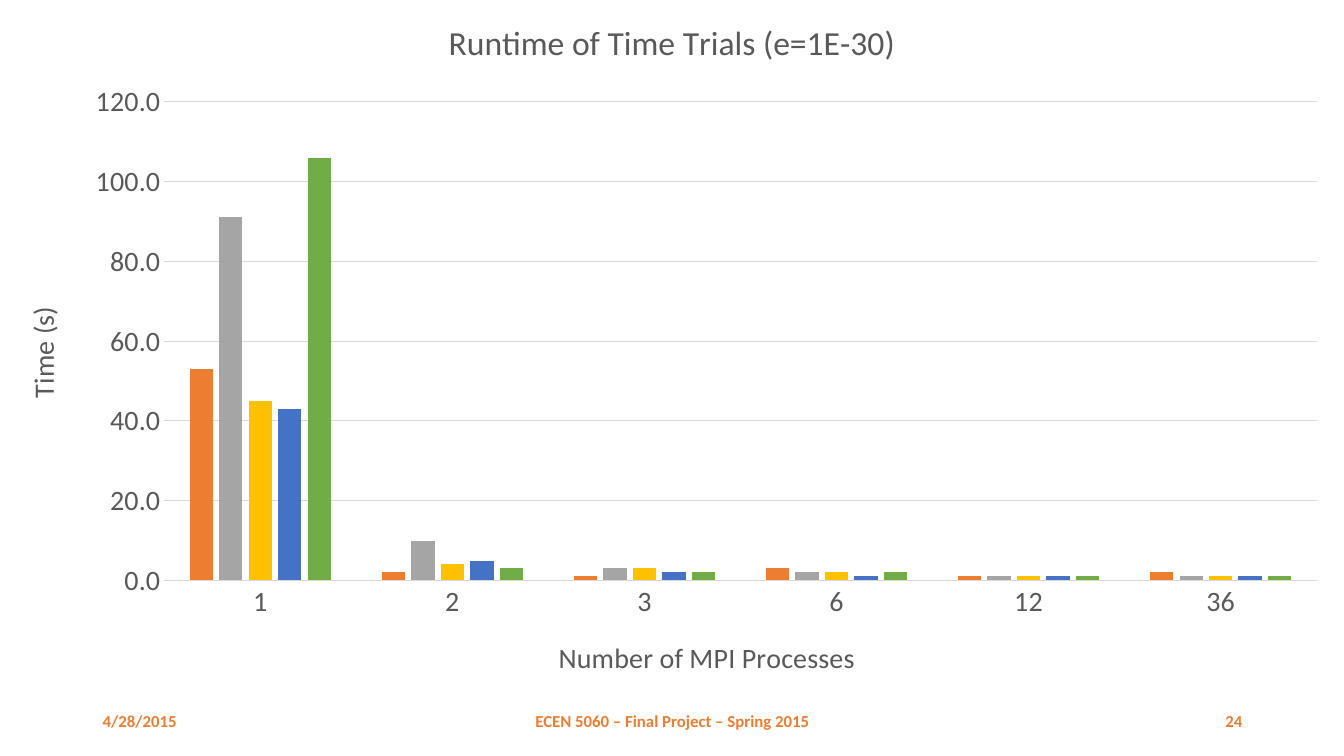
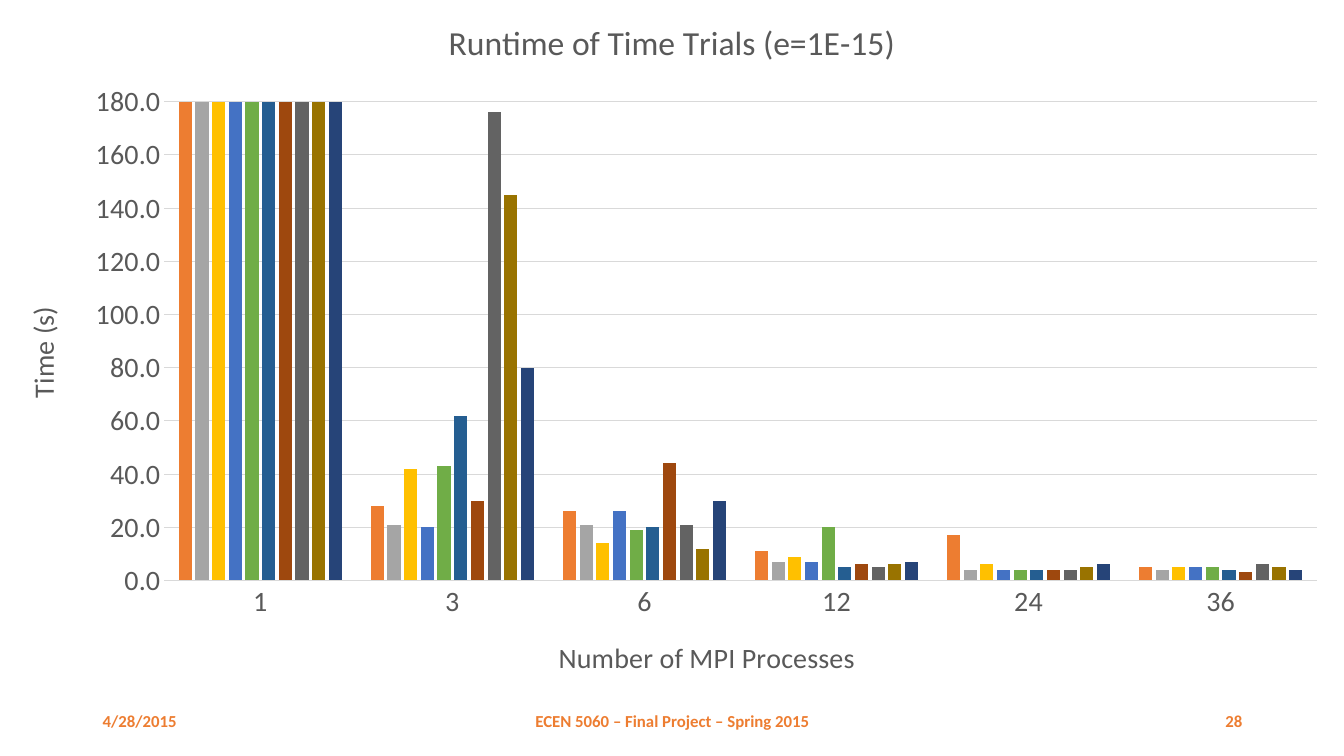
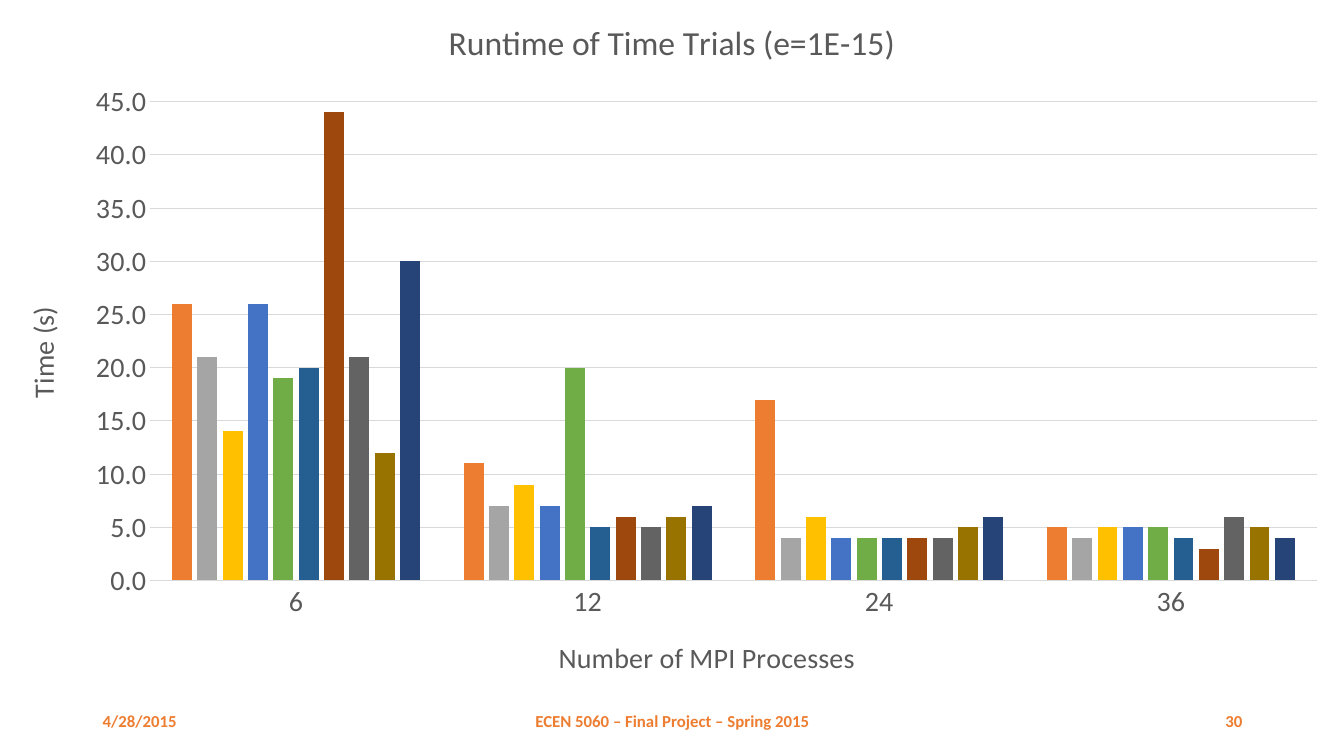
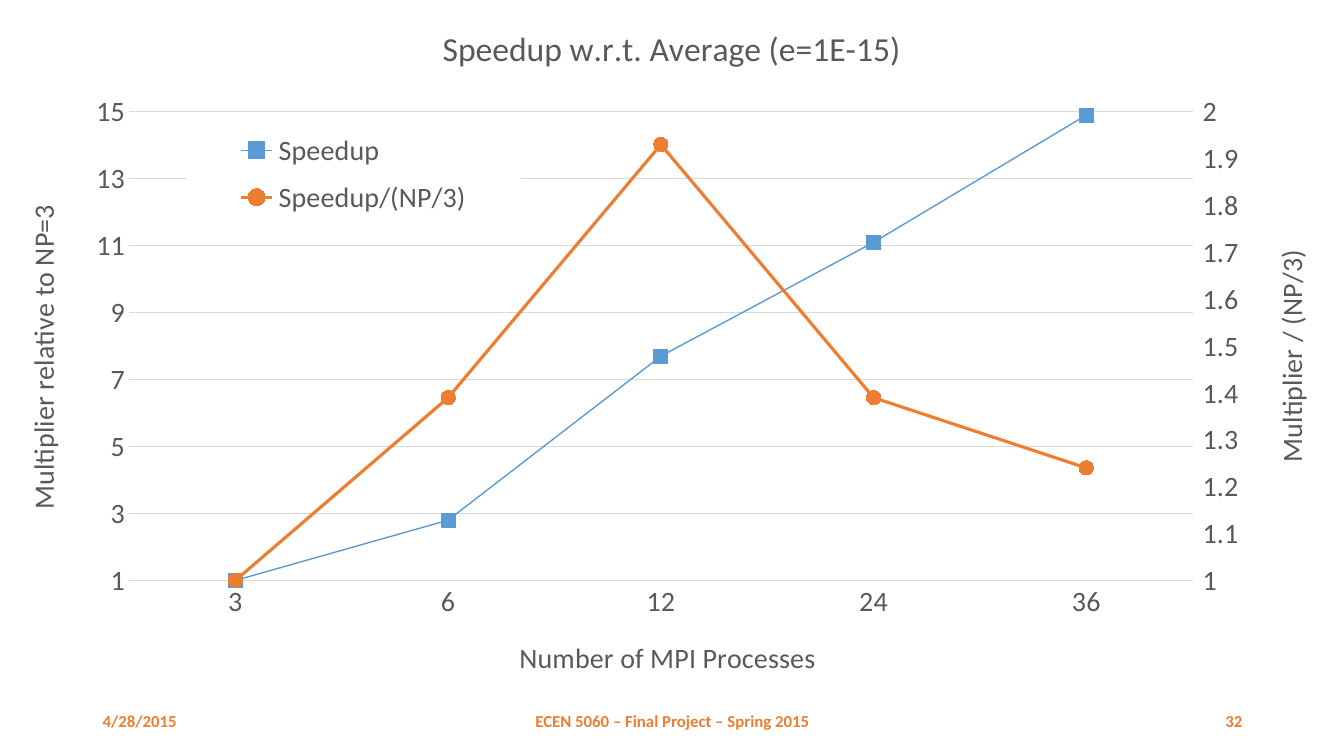
from copy import deepcopy
from dataclasses import dataclass

from pptx import Presentation
from pptx.chart.axis import CategoryAxis, ValueAxis
from pptx.chart.chart import Chart
from pptx.chart.data import CategoryChartData
from pptx.dml.color import RGBColor
from pptx.enum.chart import XL_CHART_TYPE, XL_LEGEND_POSITION, XL_MARKER_STYLE, XL_TICK_MARK
from pptx.enum.text import MSO_ANCHOR, PP_ALIGN
from pptx.oxml import parse_xml
from pptx.oxml.ns import nsdecls, qn
from pptx.oxml.xmlchemy import BaseOxmlElement
from pptx.slide import Slide
from pptx.text.text import Font
from pptx.util import Inches, Pt

COLUMNS = XL_CHART_TYPE.COLUMN_CLUSTERED
LINES = XL_CHART_TYPE.LINE_MARKERS
LEGEND_RIGHT = XL_LEGEND_POSITION.RIGHT
SQUARE = XL_MARKER_STYLE.SQUARE
CIRCLE = XL_MARKER_STYLE.CIRCLE
TICK_NONE = XL_TICK_MARK.NONE
TICK_OUT = XL_TICK_MARK.OUTSIDE
MIDDLE = MSO_ANCHOR.MIDDLE
LEFT = PP_ALIGN.LEFT
CENTER = PP_ALIGN.CENTER
RIGHT = PP_ALIGN.RIGHT

FONT = "Calibri"
ORANGE = "ED7D31"
BLUE = "5B9BD5"
GREY = "595959"
RULE = "D9D9D9"
TRIAL_COLORS = [ORANGE, "A5A5A5", "FFC000", "4472C4", "70AD47",
                "255E91", "9E480E", "636363", "997300", "264478"]
SLIDE_W, SLIDE_H = 13.33, 7.5
CHART_H = 6.95
FOOTER_H = 0.4


@dataclass(frozen=True)
class Footer:
    text: str
    left: float
    width: float
    align: PP_ALIGN


@dataclass(frozen=True)
class Label:
    text: str
    left: float
    top: float


@dataclass(frozen=True)
class Plot:
    left: float
    top: float
    right: float
    bottom: float = 5.76


@dataclass(frozen=True)
class Scale:
    low: float
    high: float
    step: float
    number_format: str


@dataclass(frozen=True)
class ChartPage:
    number: int
    title: Label
    x_title: Label
    y_title: Label
    plot: Plot
    scale: Scale
    categories: list[str]
    series: dict[str, list[float]]


@dataclass(frozen=True)
class SpeedupLine:
    color: str
    width: float
    marker: XL_MARKER_STYLE


def trials(rows: list[list[float]]) -> dict[str, list[float]]:
    return {f"Series {i}": list(run) for i, run in enumerate(zip(*rows), 1)}


FINE_RUNTIMES = [
    [53, 91, 45, 43, 106],
    [2, 10, 4, 5, 3],
    [1, 3, 3, 2, 2],
    [3, 2, 2, 1, 2],
    [1, 1, 1, 1, 1],
    [2, 1, 1, 1, 1],
]
COARSE_PROCESSES = ["1", "3", "6", "12", "24", "36"]
COARSE_RUNTIMES = [
    [180] * 10,
    [28, 21, 42, 20, 43, 62, 30, 176, 145, 80],
    [26, 21, 14, 26, 19, 20, 44, 21, 12, 30],
    [11, 7, 9, 7, 20, 5, 6, 5, 6, 7],
    [17, 4, 6, 4, 4, 4, 4, 4, 5, 6],
    [5, 4, 5, 5, 5, 4, 3, 6, 5, 4],
]

FINE_TITLE = Label("Runtime of Time Trials (e=1E-30)", 4.39, 0.14)
COARSE_TITLE = Label("Runtime of Time Trials (e=1E-15)", 4.39, 0.14)
PROCESSES = Label("Number of MPI Processes", 5.49, 6.28)
TIME = Label("Time (s)", 0.18, 2.99)
WIDE_PLOT = Plot(1.63, 1.01, 13.06)

RUNTIME_PAGES = [
    ChartPage(24, FINE_TITLE, PROCESSES, TIME, WIDE_PLOT, Scale(0, 120, 20, "0.0"),
              ["1", "2", "3", "6", "12", "36"], trials(FINE_RUNTIMES)),
    ChartPage(28, COARSE_TITLE, PROCESSES, TIME, WIDE_PLOT, Scale(0, 180, 20, "0.0"),
              COARSE_PROCESSES, trials(COARSE_RUNTIMES)),
    ChartPage(30, COARSE_TITLE, PROCESSES, TIME, Plot(1.49, 1.01, 13.06), Scale(0, 45, 5, "0.0"),
              COARSE_PROCESSES[2:], trials(COARSE_RUNTIMES[2:])),
]
SPEEDUP_PAGE = ChartPage(
    32, Label("Speedup w.r.t. Average (e=1E-15)", 4.33, 0.2),
    Label("Number of MPI Processes", 5.1, 6.28),
    Label("Multiplier relative to NP=3", 0.18, 1.98),
    Plot(1.28, 1.11, 11.83), Scale(1, 15, 2, "0"), COARSE_PROCESSES[1:],
    {"Speedup": [1, 2.8, 7.7, 11.1, 14.9],
     "Speedup/(NP/3)": [1, 1.39, 1.93, 1.39, 1.24]},
)
EFFICIENCY_TITLE = Label("Multiplier / (NP/3)", 12.56, 2.43)
EFFICIENCY_SCALE = Scale(1, 2, 0.1, "General")
SPEEDUP_LINES = [SpeedupLine(BLUE, 1, SQUARE), SpeedupLine(ORANGE, 2.25, CIRCLE)]


def rgb(color: str) -> RGBColor:
    return RGBColor.from_string(color)


def style_font(font: Font, size: float, color: str, bold: bool = False) -> None:
    font.name = FONT
    font.size = Pt(size)
    font.bold = bold
    font.color.rgb = rgb(color)


def add_footers(slide: Slide, number: int) -> None:
    footers = [
        Footer("4/28/2015", 0.92, 3, LEFT),
        Footer("ECEN 5060 – Final Project – Spring 2015", 4.42, 4.5, CENTER),
        Footer(str(number), 9.42, 3, RIGHT),
    ]
    for footer in footers:
        box = slide.shapes.add_textbox(Inches(footer.left), Inches(CHART_H),
                                       Inches(footer.width), Inches(FOOTER_H))
        frame = box.text_frame
        frame.word_wrap = True
        frame.vertical_anchor = MIDDLE
        paragraph = frame.paragraphs[0]
        paragraph.alignment = footer.align
        run = paragraph.add_run()
        run.text = footer.text
        style_font(run.font, 12, ORANGE, True)


def place(part: BaseOxmlElement, left: float, top: float,
          size: tuple[float, float] | None = None, inner: bool = False) -> None:
    fields = [("xMode", "edge"), ("yMode", "edge"),
              ("x", left / SLIDE_W), ("y", top / CHART_H)]
    if inner:
        fields.insert(0, ("layoutTarget", "inner"))
    if size:
        fields += [("w", size[0] / SLIDE_W), ("h", size[1] / CHART_H)]
    settings = "".join(f'<c:{tag} val="{value}"/>' for tag, value in fields)
    for previous in part.findall(qn("c:layout")):
        part.remove(previous)
    leading = part.xpath("./c:tx | ./c:legendPos")
    part.insert(len(leading), parse_xml(
        f'<c:layout {nsdecls("c")}><c:manualLayout>{settings}</c:manualLayout></c:layout>'))


def write_title(title, label: Label, size: float, upright: bool = False) -> None:
    paragraph = title.text_frame.paragraphs[0]
    run = paragraph.runs[0] if paragraph.runs else paragraph.add_run()
    run.text = label.text
    style_font(run.font, size, GREY)
    if upright:
        body = title.element.xpath(".//a:bodyPr")[0]
        body.set("rot", "-5400000")
        body.set("vert", "horz")
    place(title.element, label.left, label.top)


def style_value_axis(axis: ValueAxis, label: Label, scale: Scale) -> None:
    axis.minimum_scale = scale.low
    axis.maximum_scale = scale.high
    axis.major_unit = scale.step
    axis.major_tick_mark = TICK_NONE
    axis.format.line.fill.background()
    axis.tick_labels.number_format = scale.number_format
    axis.tick_labels.number_format_is_linked = False
    style_font(axis.tick_labels.font, 20, GREY)
    write_title(axis.axis_title, label, 20, True)


def add_chart_page(deck, page: ChartPage, kind: XL_CHART_TYPE) -> Chart:
    slide = deck.slides.add_slide(deck.slide_layouts[6])
    add_footers(slide, page.number)
    data = CategoryChartData()
    data.categories = page.categories
    for name, values in page.series.items():
        data.add_series(name, values)
    chart = slide.shapes.add_chart(kind, 0, 0, Inches(SLIDE_W), Inches(CHART_H), data).chart
    chart.font.name = FONT
    chart.font.size = Pt(20)
    chart.has_legend = False
    chart.has_title = True
    write_title(chart.chart_title, page.title, 24)

    processes = chart.category_axis
    processes.major_tick_mark = TICK_NONE
    processes.format.line.color.rgb = rgb(RULE)
    processes.format.line.width = Pt(0.75)
    style_font(processes.tick_labels.font, 20, GREY)
    write_title(processes.axis_title, page.x_title, 20)

    values_axis = chart.value_axis
    style_value_axis(values_axis, page.y_title, page.scale)
    values_axis.has_major_gridlines = True
    grid = values_axis.major_gridlines.format.line
    grid.color.rgb = rgb(RULE)
    grid.width = Pt(0.75)

    plot = page.plot
    place(chart.element.xpath("//c:plotArea")[0], plot.left, plot.top,
          (plot.right - plot.left, plot.bottom - plot.top), True)
    return chart


def add_runtime_page(deck, page: ChartPage) -> None:
    columns = add_chart_page(deck, page, COLUMNS).plots[0]
    columns.gap_width = 219
    columns.overlap = -27
    columns.vary_by_categories = False
    for trial, color in zip(columns.series, TRIAL_COLORS):
        trial.format.fill.solid()
        trial.format.fill.fore_color.rgb = rgb(color)


def move_to_right_axis(chart: Chart) -> None:
    left_lines = chart.element.xpath("//c:lineChart")[0]
    left_category = chart.element.xpath("//c:catAx")[0]
    left_value = chart.element.xpath("//c:valAx")[0]
    right_lines, right_category, right_value = map(
        deepcopy, (left_lines, left_category, left_value))
    left_lines.remove(left_lines.findall(qn("c:ser"))[1])
    right_lines.remove(right_lines.findall(qn("c:ser"))[0])

    ids = {left_category.find(qn("c:axId")).get("val"): "50010",
           left_value.find(qn("c:axId")).get("val"): "50020"}
    for part in (right_lines, right_category, right_value):
        for reference in part.xpath("./c:axId | ./c:crossAx"):
            reference.set("val", ids[reference.get("val")])
    left_lines.addnext(right_lines)
    left_value.addnext(right_value)
    right_value.addnext(right_category)

    CategoryAxis(right_category).has_title = False
    CategoryAxis(right_category).visible = False
    efficiency = ValueAxis(right_value)
    efficiency.has_major_gridlines = False
    style_value_axis(efficiency, EFFICIENCY_TITLE, EFFICIENCY_SCALE)
    efficiency.major_tick_mark = TICK_OUT
    right_value.find(qn("c:axPos")).set("val", "r")
    right_value.find(qn("c:crosses")).set("val", "max")


def add_speedup_legend(chart: Chart) -> None:
    chart.has_legend = True
    chart.legend.position = LEGEND_RIGHT
    chart.legend.include_in_layout = True
    style_font(chart.legend.font, 20, GREY)
    legend = chart.element.xpath("//c:legend")[0]
    place(legend, 1.85, 1.2, (3.31, 1.05))
    legend.find(qn("c:overlay")).addnext(parse_xml(
        f'<c:spPr {nsdecls("c", "a")}><a:solidFill><a:srgbClr val="FFFFFF"/>'
        '</a:solidFill><a:ln><a:noFill/></a:ln></c:spPr>'))


def add_speedup_page(deck, page: ChartPage) -> None:
    chart = add_chart_page(deck, page, LINES)
    chart.plots[0].vary_by_categories = False
    for line, style in zip(chart.plots[0].series, SPEEDUP_LINES):
        line.smooth = False
        line.format.line.color.rgb = rgb(style.color)
        line.format.line.width = Pt(style.width)
        line.marker.style = style.marker
        line.marker.size = 10
        line.marker.format.fill.solid()
        line.marker.format.fill.fore_color.rgb = rgb(style.color)
        line.marker.format.line.color.rgb = rgb(style.color)
    move_to_right_axis(chart)
    add_speedup_legend(chart)


def main() -> None:
    deck = Presentation()
    deck.slide_width = Inches(SLIDE_W)
    deck.slide_height = Inches(SLIDE_H)
    for page in RUNTIME_PAGES:
        add_runtime_page(deck, page)
    add_speedup_page(deck, SPEEDUP_PAGE)
    deck.save("out.pptx")


if __name__ == "__main__":
    main()
